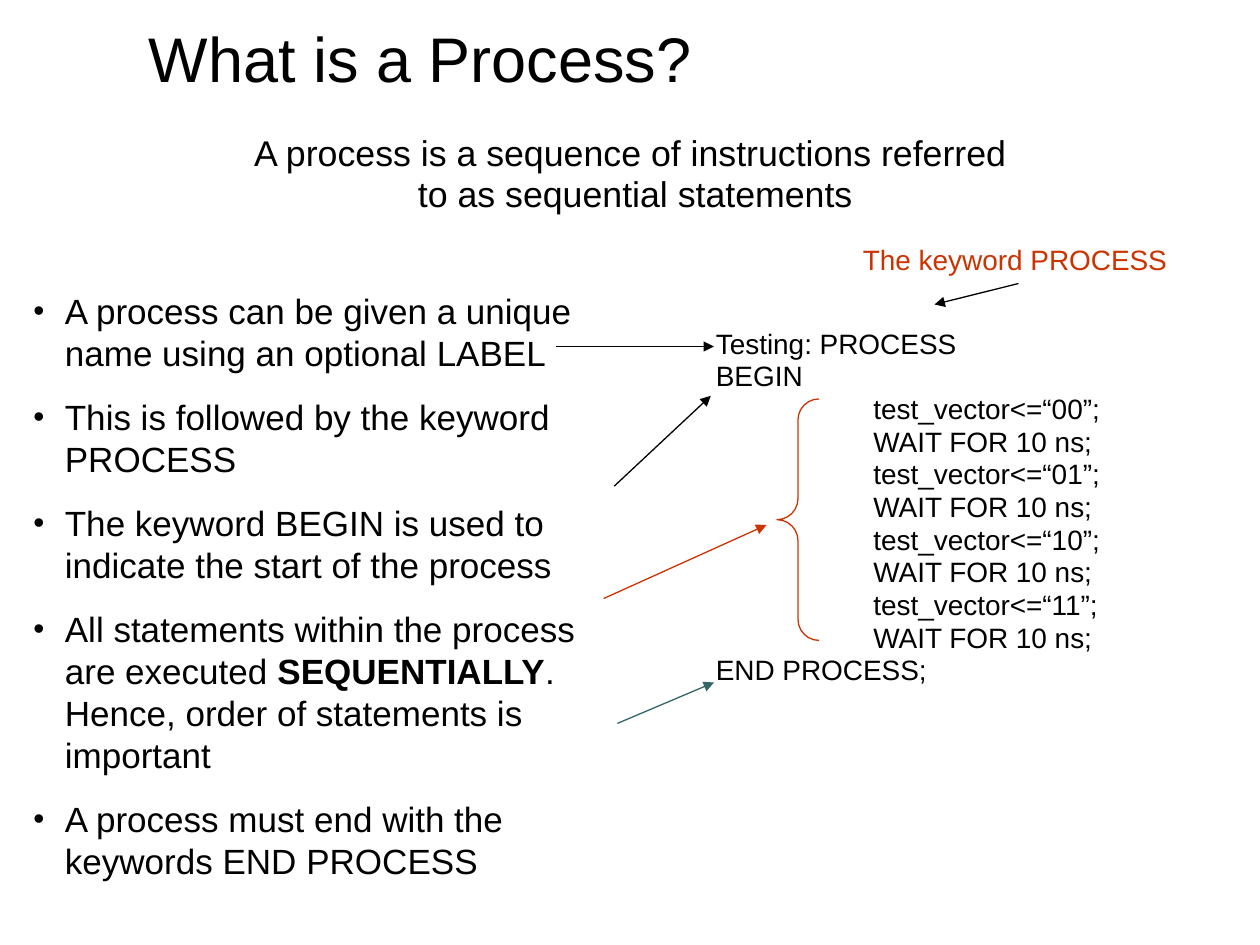
"""Build the slide explaining what a process is, on a grid of 120 columns by 90 rows."""
import itertools

import pptx
import pptx.dml.color
import pptx.enum.shapes
import pptx.enum.text
import pptx.oxml.ns
import pptx.util
from lxml import etree

BLACK = pptx.dml.color.RGBColor(0x00, 0x00, 0x00)
RED = pptx.dml.color.RGBColor(0xCC, 0x33, 0x00)
TEAL = pptx.dml.color.RGBColor(0x33, 0x66, 0x66)
FONT = "Arial"
CELL = pptx.util.Inches(10) / 120
CENTER = pptx.enum.text.PP_ALIGN.CENTER
MIDDLE = pptx.enum.text.MSO_ANCHOR.MIDDLE
FLUSH, HANGING, SUBTITLE, STATEMENT = (0, 0), (1.25, -0.25), (0.81, -0.31), (2.25, 0)

POINTS = [
    ["A process can be given a unique name using an optional LABEL"],
    ["This is followed by the keyword PROCESS"],
    ["The keyword BEGIN is used to indicate the start of the process"],
    ["All statements within the process are executed ", "*SEQUENTIALLY",
     ". Hence, order of statements is important"],
    ["A process must end with the keywords END PROCESS"],
]
STEPS = [line for bits in ("00", "01", "10", "11")
         for line in (f"test_vector<=“{bits}”;", "WAIT FOR 10 ns;")]
CODE = [[line] for line in ["Testing: PROCESS", "BEGIN", *STEPS, "END PROCESS;"]]
CODE_INDENTS = [HANGING] * 2 + [STATEMENT] * len(STEPS) + [HANGING]
SUMMARY = [["A process is a sequence of instructions referred "],
           ["to as sequential statements"]]
ARROWS = [
    ((53, 33), (68, 33), BLACK),
    ((97, 27), (89, 29), BLACK),
    ((58.5, 46.3), (67.7, 37.7), BLACK),
    ((57.5, 57), (73, 50), RED),
    ((58.8, 68.9), (68, 65), TEAL),
]


def grid(*values):
    """Turn grid columns or rows into lengths."""
    return [pptx.util.Emu(round(v * CELL)) for v in values]


def child(parent, tag, **attrs):
    """Append a drawing element with the given attributes."""
    el = etree.SubElement(parent, pptx.oxml.ns.qn(tag))
    for name, value in attrs.items():
        el.set(name, str(value))
    return el


def set_all(obj, values):
    """Set each attribute named in a dict."""
    for name, value in values.items():
        setattr(obj, name, value)


def set_layout(p, indent, bullet):
    """Give a paragraph its indents and bullet."""
    pPr = p._p.get_or_add_pPr()
    for name, inches in zip(("marL", "indent"), indent):
        pPr.set(name, str(pptx.util.Inches(inches)))
    if bullet:
        child(child(pPr, "a:buClr"), "a:srgbClr", val=BLACK)
        child(pPr, "a:buSzPct", val=90000)
        child(pPr, "a:buFont", typeface=FONT)
        child(pPr, "a:buChar", char=bullet)
    else:
        child(pPr, "a:buNone")


def add_text(s, box, paragraphs, size, color=BLACK, indents=itertools.repeat(HANGING),
             bullet=None, before=0, fmt=None, anchor=None):
    """Add a wrapped text box; a part starting with an asterisk is bold."""
    tf = s.shapes.add_textbox(*grid(*box)).text_frame
    set_all(tf, {"word_wrap": True, "vertical_anchor": anchor})
    for i, (parts, indent) in enumerate(zip(paragraphs, indents)):
        p = tf.paragraphs[0] if i == 0 else tf.add_paragraph()
        set_layout(p, indent, bullet)
        set_all(p, {"space_before": pptx.util.Pt(before if i else 0), **(fmt or {})})
        for part in parts:
            r = p.add_run()
            r.text = part.removeprefix("*")
            set_all(r.font, {"name": FONT, "size": pptx.util.Pt(size),
                             "bold": part.startswith("*")})
            r.font.color.rgb = color


def set_line(sp, color):
    """Draw a thin line in one colour."""
    set_all(sp.line, {"width": pptx.util.Pt(0.75)})
    sp.line.color.rgb = color


def add_arrow(s, start, end, color):
    """Add a straight arrow that points at its end."""
    straight = pptx.enum.shapes.MSO_CONNECTOR.STRAIGHT
    sp = s.shapes.add_connector(straight, *grid(*start, *end))
    set_line(sp, color)
    child(sp.line._get_or_add_ln(), "a:tailEnd", type="triangle")
    child(sp._element.spPr, "a:effectLst")


def add_brace(s, box, color):
    """Add an unfilled left brace."""
    sp = s.shapes.add_shape(pptx.enum.shapes.MSO_SHAPE.LEFT_BRACE, *grid(*box))
    sp.shadow.inherit = False
    sp.fill.background()
    set_line(sp, color)
    sp.adjustments[0] = 0.5


def main():
    """Build and save the slide."""
    prs = pptx.Presentation()
    set_all(prs, {"slide_width": grid(120)[0], "slide_height": grid(90)[0]})
    s = prs.slides.add_slide(prs.slide_layouts[6])
    add_text(s, (13, 1, 103, 9), [["What is a Process?"]], 36, indents=[FLUSH],
             anchor=MIDDLE)
    add_text(s, (3, 13, 109, 8), SUMMARY, 20.4, indents=itertools.repeat(SUBTITLE),
             before=6, fmt={"line_spacing": 0.7, "alignment": CENTER})
    add_text(s, (-10, 27, 70, 57.6), POINTS, 20, bullet="•", before=12.5)
    add_text(s, (55, 32, 60, 53.3), CODE, 16, indents=CODE_INDENTS, before=10,
             fmt={"line_spacing": 0.45})
    add_text(s, (69, 22.5, 47, 4.5), [["The keyword PROCESS"]], 16, color=RED)
    for start, end, color in ARROWS:
        add_arrow(s, start, end, color)
    add_brace(s, (74, 38, 4, 23), RED)
    prs.save("out.pptx")


if __name__ == "__main__":
    main()
